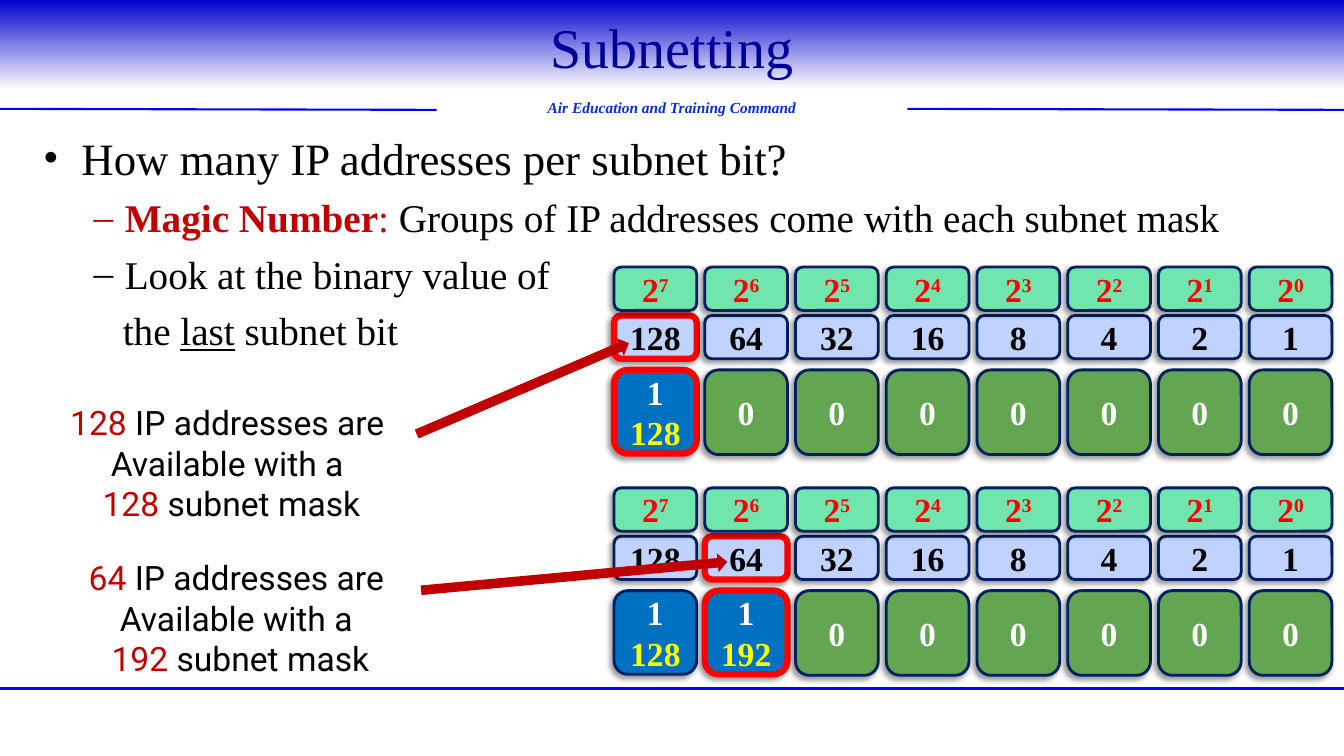
import pptx
import pptx.util
import pptx.dml.color
import pptx.enum.shapes
import pptx.enum.text
import pptx.oxml.ns
from lxml import etree

Inches = pptx.util.Inches
Pt = pptx.util.Pt
Kind = pptx.enum.shapes.MSO_SHAPE
Align = pptx.enum.text.PP_ALIGN
qn = pptx.oxml.ns.qn

SERIF, SANS = "Times New Roman", "Roboto"
BLACK, WHITE, CRIMSON, RED = "000000", "FFFFFF", "C00000", "FF0000"
BLUE, NAVY, YELLOW = "0000FF", "002060", "FFFF00"
MINT, PALE, GREEN, AZURE = "71E5AE", "C0D2FE", "63A551", "0070C0"


def rgb(code):
    return pptx.dml.color.RGBColor.from_string(code)


class Page:
    """Holds the current slide and its text style."""

    def __init__(self, slide):
        self.slide = slide
        self.shapes = slide.shapes
        self.face, self.size = SERIF, 24

    def run(self, para, text, color=BLACK, bold=False, italic=False,
            line=False, raised=False):
        run = para.add_run()
        run.text = text
        font = run.font
        font.name, font.size = self.face, Pt(self.size)
        font.bold, font.italic, font.underline = bold, italic, line
        font.color.rgb = rgb(color)
        if raised:
            run._r.get_or_add_rPr().set("baseline", "30000")

    def fill(self, frame, paras, align=Align.CENTER):
        """Write paragraphs, each a list of argument tuples for run."""
        for i, runs in enumerate(paras):
            para = frame.paragraphs[0] if i == 0 else frame.add_paragraph()
            para.alignment = align
            for item in runs:
                self.run(para, *item)

    def title(self, text):
        head = self.shapes.title
        self.shapes._spTree.append(head._element)
        head.left, head.top = Inches(1.33), Inches(0)
        head.width, head.height = Inches(10.67), Inches(0.92)
        frame = head.text_frame
        frame.auto_size = pptx.enum.text.MSO_AUTO_SIZE.NONE
        frame.vertical_anchor = pptx.enum.text.MSO_ANCHOR.MIDDLE
        self.size = 40
        self.fill(frame, [[(text, "000099")]])

    def text(self, box, paras, wrap=True, align=Align.CENTER):
        frame = self.shapes.add_textbox(*map(Inches, box)).text_frame
        frame.word_wrap = wrap
        self.fill(frame, paras, align)
        return frame

    def rule(self, left, top, right, end, width):
        line = self.shapes.add_connector(
            pptx.enum.shapes.MSO_CONNECTOR.STRAIGHT,
            Inches(left), Inches(top), Inches(right), Inches(end))
        line.line.color.rgb, line.line.width = rgb(BLUE), Pt(width)
        etree.SubElement(line._element.spPr, qn("a:effectLst"))

    def shape(self, kind, box, color):
        shape = self.shapes.add_shape(kind, *map(Inches, box))
        shape.fill.solid()
        shape.fill.fore_color.rgb = rgb(color)
        shape.line.fill.background()
        shape.shadow.inherit = False
        return shape

    def band(self, box, start, end):
        """Add a rectangle that fades from top to bottom."""
        fill = self.shape(Kind.RECTANGLE, box, start).fill
        fill.gradient()
        fill.gradient_angle = 270
        for stop, color in zip(fill.gradient_stops, (start, end)):
            stop.color.rgb = rgb(color)

    def arrow(self, box, turn):
        self.shape(Kind.RIGHT_ARROW, box, CRIMSON).rotation = turn

    def cell(self, box, color, paras, marked=False):
        cell = self.shape(Kind.ROUNDED_RECTANGLE, box, color)
        cell.line.color.rgb = rgb(RED if marked else NAVY)
        cell.line.width = Pt(4.5 if marked else 2)
        glow = etree.SubElement(
            cell._element.spPr.find(qn("a:effectLst")), qn("a:outerShdw"),
            blurRad=str(Pt(4)), dist=str(Pt(3)), dir=str(135 * 60000),
            algn="tl", rotWithShape="0")
        tint = etree.SubElement(glow, qn("a:srgbClr"), val=BLACK)
        etree.SubElement(tint, qn("a:alpha"), val="40000")
        cell.text_frame.vertical_anchor = pptx.enum.text.MSO_ANCHOR.MIDDLE
        self.fill(cell.text_frame, paras)

    def grid(self, top, masks):
        """Draw the eight bit columns; the last mask's column is marked."""
        self.face, self.size = SERIF, 24
        for col in range(8):
            left, power = 6.09 + 0.9 * col, 7 - col
            marked = col == len(masks) - 1
            self.cell((left, top + 0.48, 0.82, 0.43), PALE,
                      [[(str(2 ** power), BLACK, True)]], marked)
            self.cell((left, top, 0.82, 0.43), MINT,
                      [[("2", RED, True),
                        (str(power), RED, True, False, False, True)]])
            on = col < len(masks)
            bits = [[("1" if on else "0", WHITE, True)]]
            if on:
                bits.append([(masks[col], YELLOW, True)])
            self.cell((left, top + 1.02, 0.82, 0.83 if on else 0.84),
                      AZURE if on else GREEN, bits, marked)

    def note(self, box, count, mask):
        self.face, self.size = SANS, 24
        self.text(box, [
            [(count + " ", CRIMSON), ("IP addresses are ",)],
            [("Available with a ",)],
            [(mask + " ", CRIMSON), ("subnet mask",)]], wrap=False)

    def points(self, box):
        self.size = 28
        frame = self.text(box, [
            [],
            [("Magic Number", CRIMSON, True), (": ", CRIMSON),
             ("Groups of IP addresses come with each subnet mask",)],
            [("Look at the binary value of",)],
            [("the ",), ("last", BLACK, False, False, True),
             (" subnet bit",)]], align=Align.LEFT)
        self.size = 32
        self.run(frame.paragraphs[0], "How many IP addresses per subnet bit?")
        layout = [(0.38, -0.38, "•"), (0.81, -0.31, "–"),
                  (0.81, -0.31, "–"), (0.79, 0, None)]
        for i, (para, (left, hang, mark)) in enumerate(
                zip(frame.paragraphs, layout)):
            if i:
                para.level = 1
                para.space_before = Pt(6.5)
            props = para._p.get_or_add_pPr()
            props.set("marL", str(Inches(left)))
            props.set("indent", str(Inches(hang)))
            if mark:
                etree.SubElement(props, qn("a:buFont"), typeface=SERIF)
                etree.SubElement(props, qn("a:buChar"), char=mark)
            else:
                etree.SubElement(props, qn("a:buNone"))


def main():
    deck = pptx.Presentation()
    deck.slide_width, deck.slide_height = Inches(13.33), Inches(7.5)
    page = Page(deck.slides.add_slide(deck.slide_layouts[5]))

    page.band((0, 0, 13.33, 0.89), "0000CC", WHITE)
    page.rule(0, 6.83, 13.33, 6.83, 2)
    for left in (0, 9):
        page.rule(left, 1.08, left + 4.33, 1.09, 1.5)
    page.size = 11
    page.text((4.33, 0.92, 4.67, 0.29),
              [[("Air Education and Training Command", "0330D8", True, True)]])
    page.title("Subnetting")
    page.points((0.33, 1.25, 12.67, 5.5))

    page.grid(2.65, ["128"])
    page.grid(4.84, ["128", "192"])
    page.note((0.39, 3.94, 3.81, 1.31), "128", "128")
    page.arrow((4.04, 3.76, 2.29, 0.19), 336.8)
    page.arrow((4.17, 5.62, 3.05, 0.19), 354.7)
    page.note((0.57, 5.48, 3.63, 1.31), "64", "192")
    deck.save("out.pptx")


if __name__ == "__main__":
    main()
